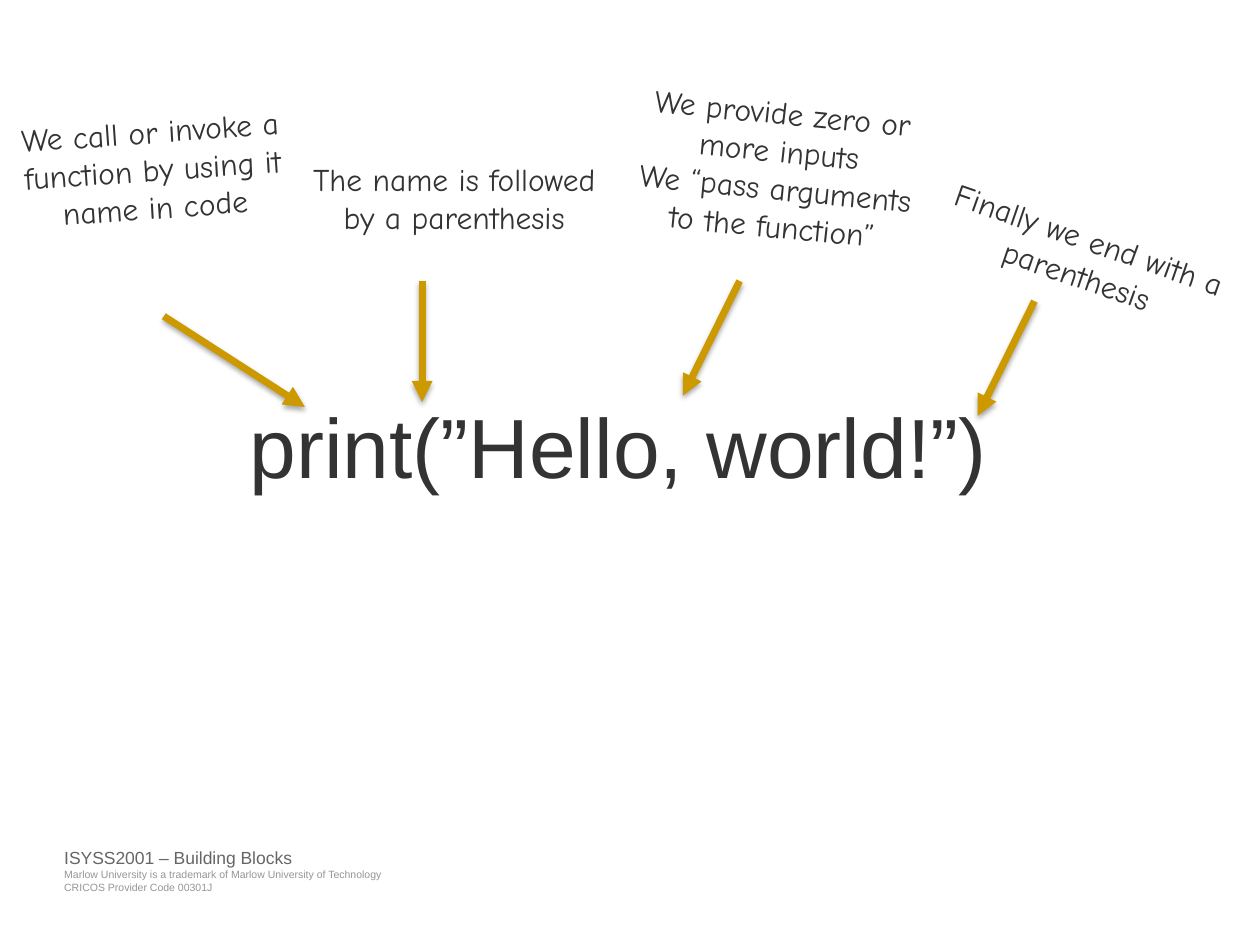
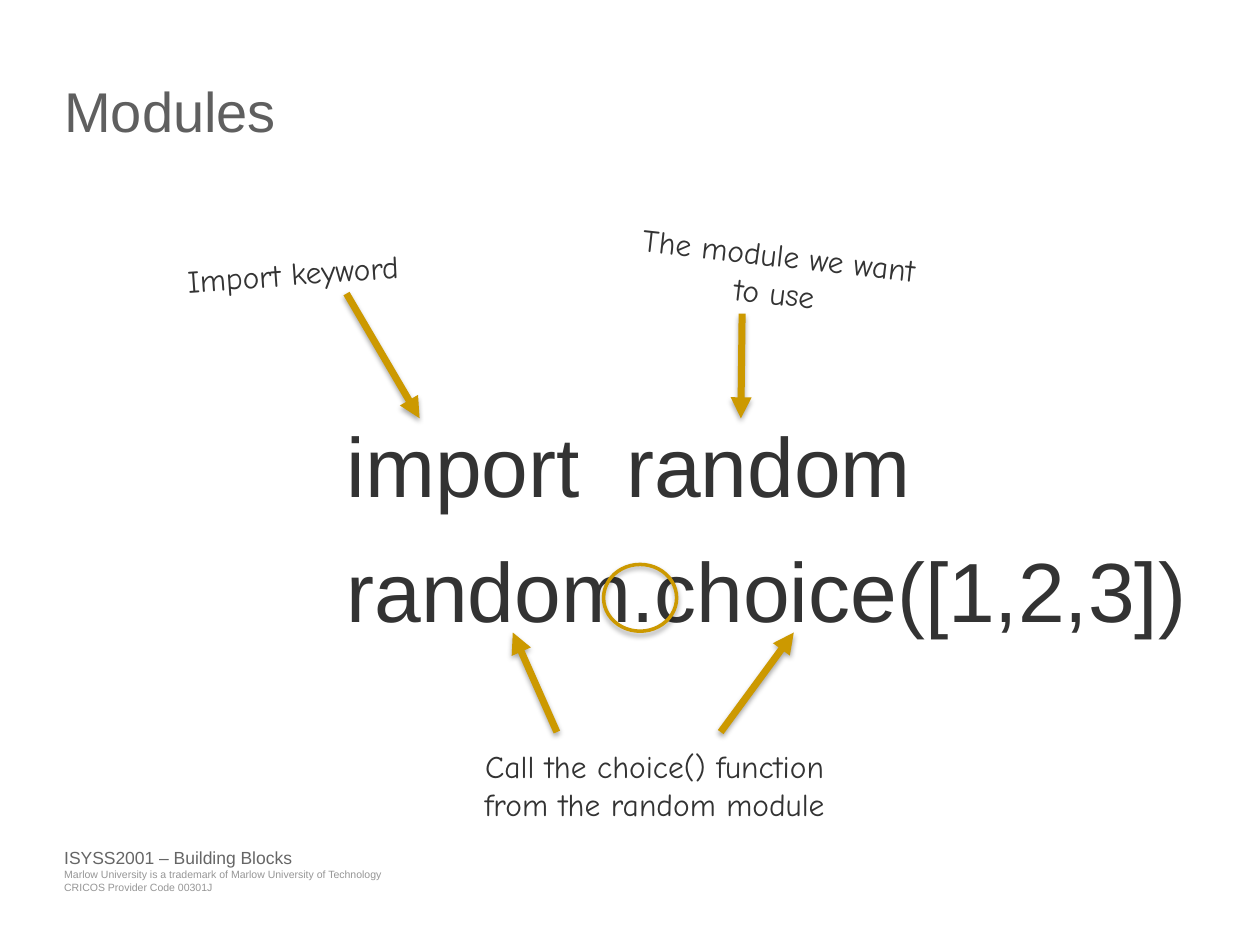
from typing import NamedTuple

from pptx import Presentation
from pptx.dml.color import RGBColor as Rgb
from pptx.enum.shapes import MSO_CONNECTOR as Link, MSO_SHAPE as Geo
from pptx.enum.text import MSO_ANCHOR as Anchor, PP_ALIGN as Align
from pptx.oxml import parse_xml
from pptx.oxml.ns import nsdecls, qn
from pptx.util import Inches, Pt

INK, GOLD, TITLE, UNIT, LEGAL = "333333", "CC9900", "5F5F5F", "666666", "969696"
SANS, HAND = "Arial", "Comic Neue"
LEFT = 0.51
TITLE_ONLY, BLANK = 5, 6


class Box(NamedTuple):
    x: float
    y: float
    w: float
    h: float

    def emu(self) -> list:
        return [Inches(side) for side in self]


class Style(NamedTuple):
    font: str
    size: int
    color: str
    align: Align = Align.LEFT
    inset: float = 0
    lead: float = 1.0
    before: int = 0


class Label(NamedTuple):
    box: Box
    lines: list
    turn: float = 0


class Arrow(NamedTuple):
    x1: float
    y1: float
    x2: float
    y2: float


HEAD = Style(SANS, 32, TITLE)
CODE = Style(SANS, 48, INK, lead=1.1, before=8)
NOTE = Style(HAND, 18, INK, Align.CENTER, inset=0.05)


def paint(code: str) -> Rgb:
    return Rgb.from_string(code)


def write(shape, lines: list, style: Style) -> None:
    """Fill a shape with one styled paragraph per line."""
    frame = shape.text_frame
    frame.word_wrap = True
    frame.vertical_anchor = Anchor.TOP
    frame.margin_left = frame.margin_right = Inches(style.inset)
    frame.margin_top = frame.margin_bottom = Inches(style.inset)
    for i, line in enumerate(lines):
        para = frame.add_paragraph() if i else frame.paragraphs[0]
        para.alignment = style.align
        para.line_spacing = style.lead
        para.space_before = Pt(style.before)
        run = para.add_run()
        run.text = line
        run.font.name, run.font.size = style.font, Pt(style.size)
        run.font.color.rgb = paint(style.color)


def add_text(slide, box: Box, lines: list, style: Style, turn: float = 0) -> None:
    shape = slide.shapes.add_textbox(*box.emu())
    shape.rotation = turn
    write(shape, lines, style)


def stroke(shape, width: float) -> None:
    """Give a shape the gold line and its soft shadow."""
    shape.line.color.rgb = paint(GOLD)
    shape.line.width = Pt(width)
    shape._element.spPr.append(parse_xml(
        f'<a:effectLst {nsdecls("a")}>'
        f'<a:outerShdw blurRad="{Pt(3)}" dist="{Pt(1.8)}" dir="5400000" rotWithShape="0">'
        '<a:srgbClr val="000000"><a:alpha val="35000"/></a:srgbClr>'
        '</a:outerShdw></a:effectLst>'))


def add_arrow(slide, arrow: Arrow) -> None:
    line = slide.shapes.add_connector(Link.STRAIGHT, *[Inches(v) for v in arrow])
    stroke(line, 4)
    line._element.spPr.find(qn("a:ln")).append(
        parse_xml(f'<a:tailEnd {nsdecls("a")} type="triangle"/>'))


def add_ring(slide, box: Box) -> None:
    ring = slide.shapes.add_shape(Geo.OVAL, *box.emu())
    ring.fill.background()
    stroke(ring, 2)


def add_page(deck, title: str = ""):
    """Start a slide with its footer and, if given, its title."""
    slide = deck.slides.add_slide(deck.slide_layouts[TITLE_ONLY if title else BLANK])
    add_text(slide, Box(LEFT, 6.89, 4, 0.2),
             ["Marlow University is a trademark of Marlow University of Technology",
              "CRICOS Provider Code 00301J"], Style(SANS, 6, LEGAL))
    add_text(slide, Box(LEFT, 6.72, 4, 0.17), ["ISYSS2001 – Building Blocks"],
             Style(SANS, 10, UNIT))
    if title:
        head = slide.shapes.title
        head.left, head.top, head.width, head.height = Box(LEFT, 0.61, 8.98, 1.09).emu()
        write(head, [title], HEAD)
    return slide


def add_notes(slide, labels: list, arrows: list) -> None:
    for label in labels:
        add_text(slide, label.box, label.lines, NOTE, label.turn)
    for arrow in arrows:
        add_arrow(slide, arrow)


def call_page(deck) -> None:
    slide = add_page(deck)
    add_text(slide, Box(1.98, 3.05, 6.03, 1.17), ["print(”Hello, world!”)"], CODE)
    add_notes(slide, [
        Label(Box(0.05, 0.84, 2.37, 1.67),
              ["We call or invoke a function by using it name in code"], 356),
        Label(Box(2.42, 1.22, 2.37, 1.01), ["The name is followed by a parenthesis"]),
        Label(Box(4.97, 0.69, 2.37, 1.62),
              ["We provide zero or more inputs", "We “pass arguments to the function”"], 5.6),
        Label(Box(7.36, 1.68, 2.37, 1.01), ["Finally we end with a parenthesis"], 19.1),
    ], [
        Arrow(1.3, 2.51, 2.42, 3.23),
        Arrow(3.35, 2.23, 3.35, 3.19),
        Arrow(5.87, 2.23, 5.42, 3.14),
        Arrow(8.21, 2.39, 7.76, 3.3),
    ])


def module_page(deck) -> None:
    slide = add_page(deck, "Modules")
    add_text(slide, Box(2.75, 3.2, 6.74, 1.45),
             ["import  random", "random.choice([1,2,3])"], CODE)
    add_notes(slide, [
        Label(Box(1.14, 1.97, 2.37, 0.4), ["Import keyword"], 356),
        Label(Box(4.98, 1.82, 2.37, 0.71), ["The module we want to use"], 6.4),
        Label(Box(3.52, 5.88, 3.35, 1.01),
              ["Call the choice() function from the random module"]),
    ], [
        Arrow(2.75, 2.33, 3.33, 3.32),
        Arrow(5.89, 2.49, 5.88, 3.32),
        Arrow(4.42, 5.81, 4.07, 5.02),
        Arrow(5.72, 5.81, 6.3, 5.02),
    ])
    # Ring around the dot
    add_ring(slide, Box(4.79, 4.48, 0.58, 0.53))


def main() -> None:
    deck = Presentation()
    deck.slide_width, deck.slide_height = Inches(10), Inches(7.5)
    call_page(deck)
    module_page(deck)
    deck.save("out.pptx")


if __name__ == "__main__":
    main()
